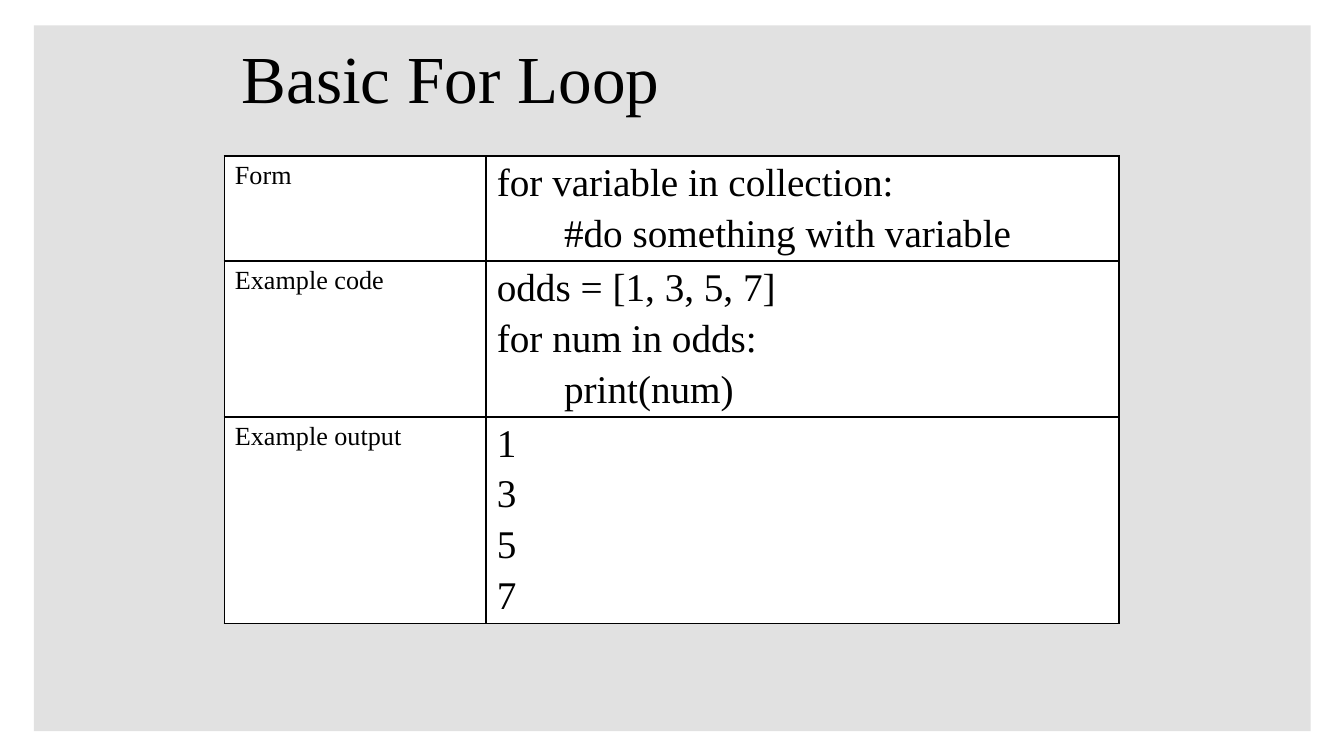
"""Build the Basic For Loop slide: a title and a table of form, code and output."""
from pptx import Presentation
from pptx import util as u
from pptx.dml.color import RGBColor
from pptx.enum import shapes, text
from pptx.oxml.ns import qn
from lxml import etree

BLACK = RGBColor(0x00, 0x00, 0x00)
WHITE = RGBColor(0xFF, 0xFF, 0xFF)
GREY = RGBColor(0xE1, 0xE1, 0xE1)
FONT = "Times New Roman"

COLUMNS = (4.95, 11.96)
LINE_HEIGHT = 0.96
ROWS = [
    ("Form", ["for variable in collection:", "\t#do something with variable"]),
    ("Example code", ["odds = [1, 3, 5, 7]", "for num in odds:", "\tprint(num)"]),
    ("Example output", ["1", "3", "5", "7"]),
]


def add_run(p, content, size):
    """Add one formatted run to a paragraph."""
    r = p.add_run()
    r.text = content
    r.font.name = FONT
    r.font.size = u.Pt(size)
    r.font.color.rgb = BLACK


def set_insets(frame, side, edge):
    """Set the inner margins of a text frame or cell."""
    frame.margin_left = frame.margin_right = u.Cm(side)
    frame.margin_top = frame.margin_bottom = u.Cm(edge)


def add_panel(slide):
    """Place the grey panel behind everything else."""
    sp = slide.shapes.add_shape(shapes.MSO_SHAPE.RECTANGLE,
                                u.Cm(0.64), u.Cm(0.48), u.Cm(24.13), u.Cm(13.34))
    sp.shadow.inherit = False
    sp.fill.solid()
    sp.fill.fore_color.rgb = GREY
    sp.line.fill.background()
    slide.shapes._spTree.insert(2, sp._element)


def fill_title(slide, content):
    """Move the title placeholder and write its text."""
    sp = slide.shapes.title
    sp.left, sp.top, sp.width, sp.height = u.Cm(0.97), u.Cm(0.69), u.Cm(15.09), u.Cm(1.52)
    tf = sp.text_frame
    tf.auto_size = text.MSO_AUTO_SIZE.NONE
    tf.vertical_anchor = text.MSO_ANCHOR.MIDDLE
    set_insets(tf, 0.18, 0.1)
    p = tf.paragraphs[0]
    p.alignment = text.PP_ALIGN.CENTER
    add_run(p, content, 36)


def set_borders(cell):
    """Draw a thin black line on every side of a cell."""
    tc_pr = cell._tc.get_or_add_tcPr()
    for side in ("a:lnL", "a:lnR", "a:lnT", "a:lnB"):
        ln = etree.SubElement(tc_pr, qn(side), w=str(u.Pt(1)))
        solid = etree.SubElement(ln, qn("a:solidFill"))
        etree.SubElement(solid, qn("a:srgbClr"), val=str(BLACK))


def fill_cell(cell, lines, size):
    """Format a cell and write one paragraph per line."""
    set_borders(cell)
    cell.fill.solid()
    cell.fill.fore_color.rgb = WHITE
    set_insets(cell, 0.2, 0.1)
    tf = cell.text_frame
    for i, line in enumerate(lines):
        p = tf.add_paragraph() if i else tf.paragraphs[0]
        if i:
            p.space_before = u.Pt(4)
        add_run(p, line, size)


def add_loop_table(slide):
    """Add the table, with each row as tall as its lines of code."""
    heights = [0.05 + LINE_HEIGHT * len(lines) for _, lines in ROWS]
    frame = slide.shapes.add_table(len(ROWS), len(COLUMNS), u.Cm(4.24), u.Cm(2.95),
                                   u.Cm(sum(COLUMNS)), u.Cm(sum(heights)))
    table = frame.table
    table.first_row = table.horz_banding = False
    for column, width in zip(table.columns, COLUMNS):
        column.width = u.Cm(width)
    for row, height, (label, lines) in zip(table.rows, heights, ROWS):
        row.height = u.Cm(height)
        fill_cell(row.cells[0], [label], 14)
        fill_cell(row.cells[1], lines, 21)


def main():
    """Build and save the slide."""
    prs = Presentation()
    prs.slide_width, prs.slide_height = u.Cm(25.4), u.Cm(14.29)
    slide = prs.slides.add_slide(prs.slide_layouts[5])
    add_panel(slide)
    fill_title(slide, "Basic For Loop")
    add_loop_table(slide)
    prs.save("out.pptx")


if __name__ == "__main__":
    main()
